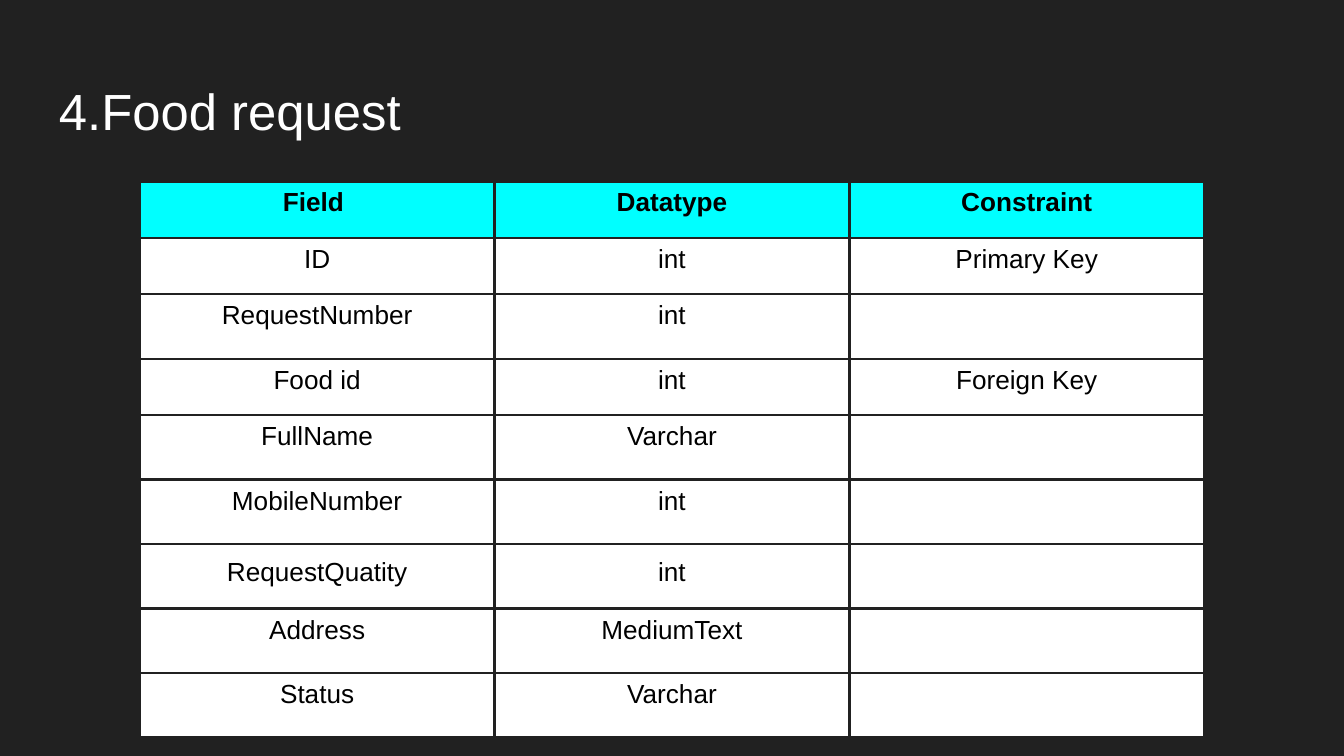
from dataclasses import dataclass

from lxml import etree
from pptx import Presentation
from pptx import util as u
from pptx.dml.color import RGBColor
from pptx.enum import text
from pptx.oxml import ns


@dataclass(frozen=True)
class Theme:
    background: str = "212121"
    title: str = "FFFFFF"
    header: str = "00FFFF"
    body: str = "FFFFFF"
    cell_text: str = "000000"
    font: str = "Arial"
    title_size: float = 27.2
    cell_size: float = 14
    border_width: float = 1.47


theme = Theme()


def format_font(font, size, color, bold=False):
    font.name = theme.font
    font.size = u.Pt(size)
    font.bold = bold
    font.color.rgb = RGBColor.from_string(color)


def add_borders(cell):
    properties = cell._tc.get_or_add_tcPr()
    for side in ("lnL", "lnR", "lnT", "lnB"):
        line = etree.SubElement(properties, ns.qn(f"a:{side}"), w=str(u.Pt(theme.border_width)))
        fill = etree.SubElement(line, ns.qn("a:solidFill"))
        etree.SubElement(fill, ns.qn("a:srgbClr"), val=theme.background)


presentation = Presentation()
presentation.slide_width = u.Inches(10)
presentation.slide_height = u.Inches(10) * 9 // 16
slide = presentation.slides.add_slide(presentation.slide_layouts[6])
slide.background.fill.solid()
slide.background.fill.fore_color.rgb = RGBColor.from_string(theme.background)

# Title
title = slide.shapes.add_textbox(u.Inches(0.34), u.Inches(0.49), u.Inches(9.32), u.Inches(0.63))
frame = title.text_frame
frame.word_wrap = True
frame.margin_left = frame.margin_right = frame.margin_top = frame.margin_bottom = u.Inches(0.1)
frame.text = "4.Food request"
format_font(frame.paragraphs[0].runs[0].font, theme.title_size, theme.title)

# Field table
fields = [
    ("Field ", "Datatype", "Constraint"),
    ("ID", "int", "Primary Key"),
    ("RequestNumber", "int", ""),
    ("Food id", "int", "Foreign Key"),
    ("FullName", "Varchar", ""),
    ("MobileNumber", "int", ""),
    ("RequestQuatity", "int", ""),
    ("Address", "MediumText", ""),
    ("Status", "Varchar", ""),
]
heights = [u.Inches(0.42 if constraint else 0.48) for _, _, constraint in fields]
column_width = u.Inches(2.64)
table = slide.shapes.add_table(
    len(fields), 3, u.Inches(1.04), u.Inches(1.35), 3 * column_width, sum(heights)
).table
for column in table.columns:
    column.width = column_width

for row_index, values in enumerate(fields):
    table.rows[row_index].height = heights[row_index]
    is_header = row_index == 0
    is_padded = values[0] == "RequestQuatity"
    for column_index, value in enumerate(values):
        cell = table.cell(row_index, column_index)
        add_borders(cell)
        cell.fill.solid()
        cell.fill.fore_color.rgb = RGBColor.from_string(theme.header if is_header else theme.body)
        cell.margin_left = cell.margin_right = u.Inches(0.1)
        cell.margin_top = cell.margin_bottom = u.Inches(0.1 if is_padded and value else 0.05)
        if value:
            paragraph = cell.text_frame.paragraphs[0]
            paragraph.text = value
            paragraph.alignment = text.PP_ALIGN.CENTER
            format_font(paragraph.runs[0].font, theme.cell_size, theme.cell_text, is_header)

presentation.save("out.pptx")
